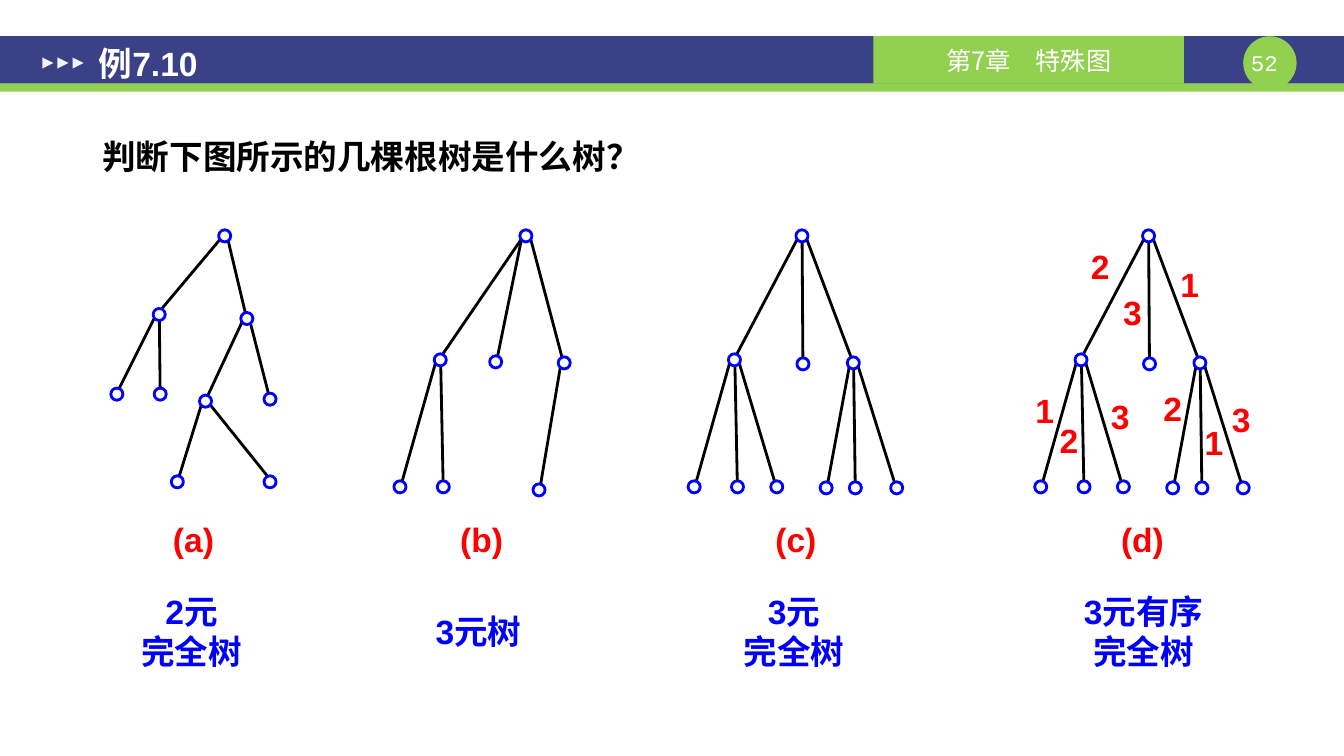
from lxml import etree
from pptx import Presentation
from pptx.dml.color import RGBColor
from pptx.enum.shapes import MSO_CONNECTOR, MSO_SHAPE as Shape
from pptx.enum.text import MSO_ANCHOR as Anchor, PP_ALIGN as Align
from pptx.oxml.ns import qn
from pptx.util import Inches, Pt

WIDTH, HEIGHT = 13.34, 7.5
COLORS = {"navy": "3A4187", "green": "92D050", "white": "FFFFFF", "pale": "F2F2F2",
          "black": "000000", "blue": "0000FF", "red": "FF0000"}
LATIN, CJK = "Arial", "Noto Sans CJK SC"

TITLE = "例7.10"
CHAPTER = "第7章　特殊图"
PAGE = "52"
QUESTION = "判断下图所示的几棵根树是什么树？"

# Nodes: (centre x from the root, centre y, index of the parent)
BINARY = [(0, 2.34, None), (-0.65, 3.12, 0), (0.22, 3.16, 0), (-1.07, 3.91, 1),
          (-0.64, 3.91, 1), (-0.19, 3.98, 2), (0.45, 3.96, 2),
          (-0.47, 4.78, 5), (0.45, 4.78, 5)]
TERNARY = [(0, 2.34, None), (-0.85, 3.57, 0), (-0.3, 3.59, 0), (0.38, 3.6, 0),
           (-1.25, 4.83, 1), (-0.82, 4.83, 1), (0.13, 4.86, 3)]
FULL_TERNARY = [(0, 2.34, None), (-0.67, 3.57, 0), (0.01, 3.61, 0), (0.51, 3.6, 0),
                (-1.07, 4.83, 1), (-0.64, 4.83, 1), (-0.25, 4.83, 1),
                (0.24, 4.84, 3), (0.53, 4.84, 3), (0.94, 4.84, 3)]
# Edge numbers: (text, centre x from the root, centre y)
ORDER = [("2", -0.48, 2.64), ("3", -0.16, 3.1), ("1", 0.41, 2.82),
         ("1", -1.03, 4.07), ("2", -0.79, 4.37), ("3", -0.28, 4.13),
         ("2", 0.24, 4.05), ("1", 0.65, 4.39), ("3", 0.92, 4.16)]
# Trees: root x, nodes, edge numbers, letter, letter x, answer lines, answer x
TREES = [
    (2.23, BINARY, [], "(a)", 1.92, ["2元", "完全树"], 1.9),
    (5.22, TERNARY, [], "(b)", 4.78, ["3元树"], 4.75),
    (7.96, FULL_TERNARY, [], "(c)", 7.9, ["3元", "完全树"], 7.88),
    (11.4, FULL_TERNARY, ORDER, "(d)", 11.34, ["3元有序", "完全树"], 11.35),
]
NODE = 0.12
LETTER_Y, ANSWER_Y = 5.35, 6.26
BAR_TOP, BAR_HEIGHT = 0.36, 0.47


def rgb(name):
    return RGBColor.from_string(COLORS[name])


def write(shape, lines, color, size=24, bold=True, align=Align.CENTER,
          anchor=Anchor.MIDDLE, margins=(0, 0), spacing=None, latin=LATIN):
    frame = shape.text_frame
    frame.word_wrap = True
    frame.vertical_anchor = anchor
    frame.margin_left = frame.margin_right = Inches(margins[0])
    frame.margin_top = frame.margin_bottom = Inches(margins[1])
    for index, line in enumerate(lines):
        paragraph = frame.add_paragraph() if index else frame.paragraphs[0]
        paragraph.alignment = align
        if spacing:
            paragraph.line_spacing = spacing
        run = paragraph.add_run()
        run.text = line
        run.font.size, run.font.bold = Pt(size), bold
        run.font.color.rgb = rgb(color)
        run.font.name = latin
        east_asian = etree.SubElement(run._r.get_or_add_rPr(), qn("a:ea"))
        east_asian.set("typeface", CJK)


def add_label(shapes, lines, color, x, y, width, height, **style):
    """Add a text box centred on x, y."""
    box = shapes.add_textbox(Inches(x - width / 2), Inches(y - height / 2),
                             Inches(width), Inches(height))
    write(box, lines, color, **style)


def add_filled(shapes, kind, fill, left, top, width, height, line=None):
    shape = shapes.add_shape(kind, Inches(left), Inches(top), Inches(width), Inches(height))
    shape.shadow.inherit = False
    shape.fill.solid()
    shape.fill.fore_color.rgb = rgb(fill)
    if line:
        shape.line.color.rgb = rgb(line)
        shape.line.width = Pt(2)
    else:
        shape.line.fill.background()
    return shape


def add_edge(shapes, parent, child):
    """Join two nodes from the lower side of the parent to the top of the child."""
    lean = max(-0.05, min(0.05, (child[0] - parent[0]) * 0.15))
    edge = shapes.add_connector(
        MSO_CONNECTOR.STRAIGHT, Inches(parent[0] + lean), Inches(parent[1] + 0.04),
        Inches(child[0] - lean * 0.4), Inches(child[1] - 0.05))
    edge.line.color.rgb = rgb("black")
    edge.line.width = Pt(2)
    etree.SubElement(edge._element.spPr, qn("a:effectLst"))


def add_header(slide):
    shapes = slide.shapes
    add_filled(shapes, Shape.RECTANGLE, "navy", 0, BAR_TOP, WIDTH, BAR_HEIGHT)
    add_filled(shapes, Shape.RECTANGLE, "green", 0, BAR_TOP + BAR_HEIGHT, WIDTH, 0.08)
    add_filled(shapes, Shape.OVAL, "green", 12.34, BAR_TOP, 0.53, 0.53)
    add_label(shapes, [PAGE], "white", 12.55, 0.62, 0.53, 0.27,
              size=16, bold=False, latin="Courier New")
    chapter = add_filled(shapes, Shape.RECTANGLE, "green", 8.67, BAR_TOP, 3.08, BAR_HEIGHT)
    write(chapter, [CHAPTER], "white", size=18, bold=False, margins=(0.1, 0.02), latin=CJK)
    for step in range(3):
        arrow = add_filled(shapes, Shape.ISOSCELES_TRIANGLE, "pale",
                           0.42 + 0.15 * step, 0.57, 0.11, 0.11)
        arrow.rotation = 90

    title = shapes.title
    title.left, title.top = Inches(0.85), Inches(0.39)
    title.width, title.height = Inches(5.83), Inches(BAR_HEIGHT)
    write(title, [TITLE], "white", align=Align.LEFT, margins=(0.13, 0.07))
    title.element.getparent().append(title.element)  # in front of the bar


def add_tree(slide, root_x, nodes, numbers, letter, letter_x):
    shapes = slide.shapes.add_group_shape().shapes
    centres = [(root_x + x, y) for x, y, _ in nodes]
    for centre, (_, _, parent) in zip(centres, nodes):
        if parent is not None:
            add_edge(shapes, centres[parent], centre)
    for x, y in centres:
        add_filled(shapes, Shape.OVAL, "white", x - NODE / 2, y - NODE / 2,
                   NODE, NODE, line="blue")
    for number, x, y in numbers:
        add_label(shapes, [number], "red", root_x + x, y, 0.46, 0.4)
    add_label(shapes, [letter], "red", letter_x, LETTER_Y, 0.69, 0.4)


def main():
    deck = Presentation()
    deck.slide_width, deck.slide_height = Inches(WIDTH), Inches(HEIGHT)
    slide = deck.slides.add_slide(deck.slide_layouts[5])
    add_header(slide)
    add_label(slide.shapes, [QUESTION], "black", 5.98, 1.52, 10.19, 0.89,
              align=Align.LEFT, anchor=Anchor.TOP, margins=(0.13, 0.07), spacing=1.5)
    for root_x, nodes, numbers, letter, letter_x, answer, answer_x in TREES:
        add_tree(slide, root_x, nodes, numbers, letter, letter_x)
        add_label(slide.shapes, answer, "blue", answer_x, ANSWER_Y, 1.42, 0.91,
                  margins=(0.1, 0.05))
    deck.save("out.pptx")


if __name__ == "__main__":
    main()
